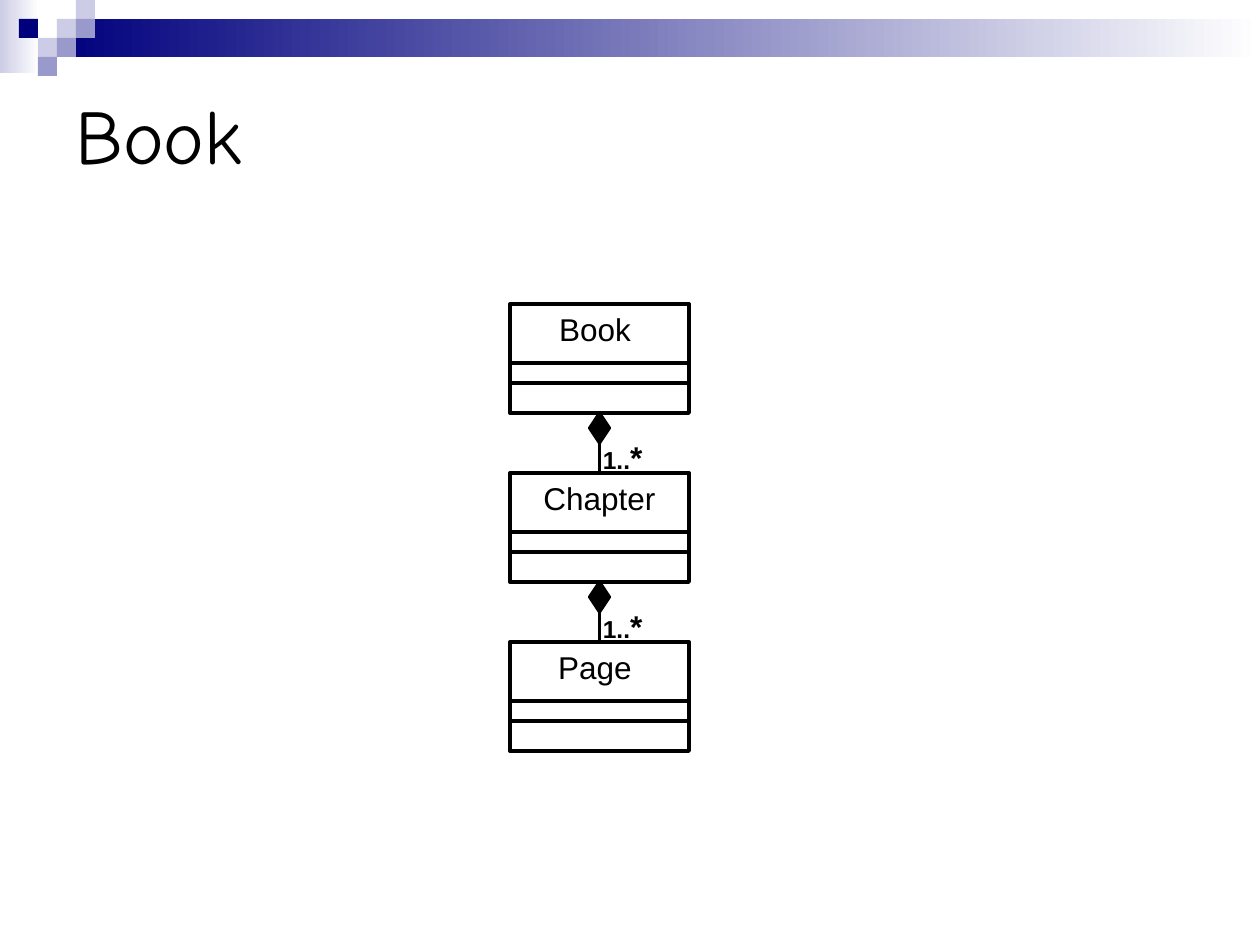
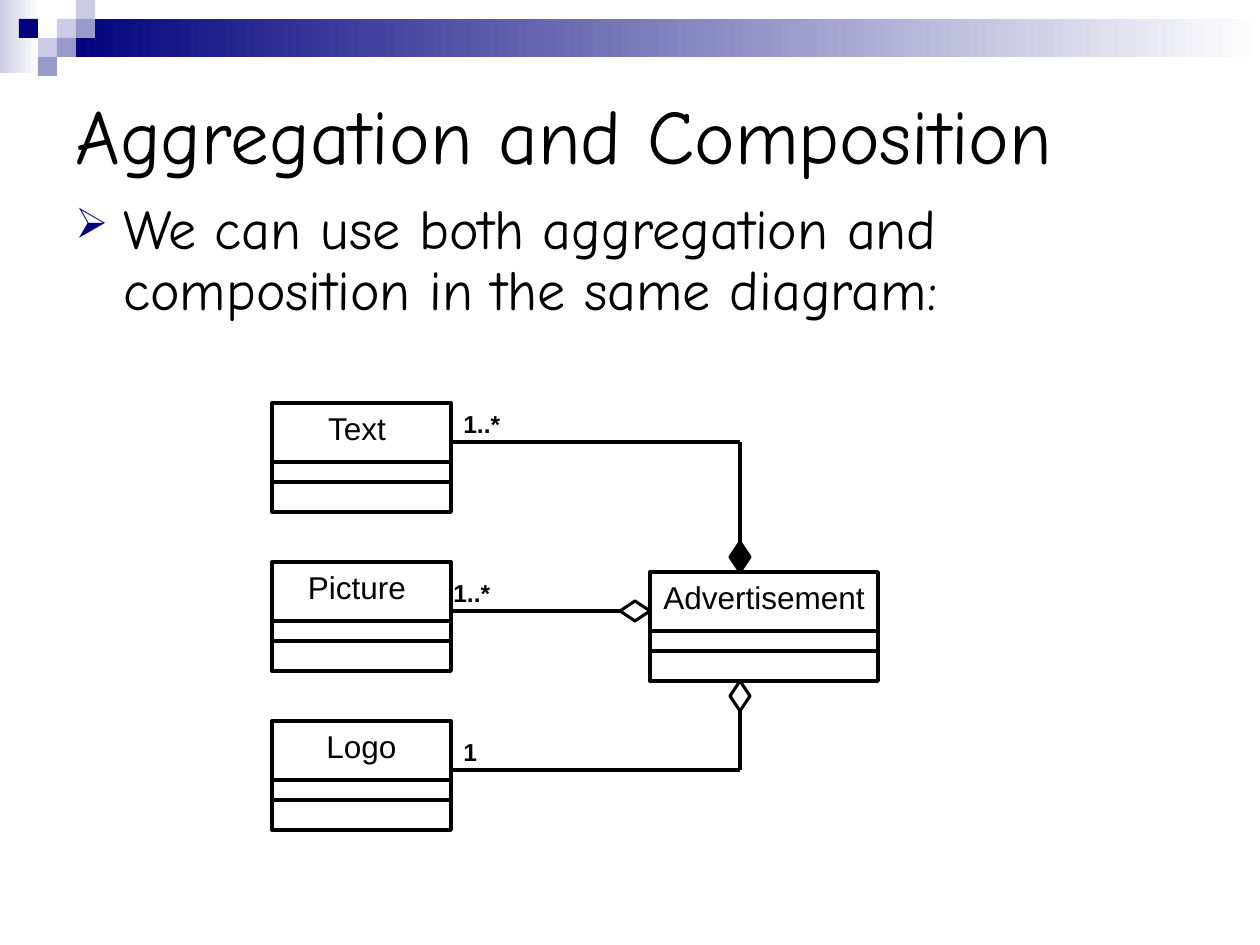
from pptx import Presentation
from pptx.dml.color import RGBColor
from pptx.enum.shapes import MSO_CONNECTOR, MSO_SHAPE
from pptx.enum.text import MSO_ANCHOR, PP_ALIGN
from pptx.oxml.ns import qn
from pptx.util import Emu, Pt
from lxml import etree

PX = 914400 / 126
RECT, DIAMOND = MSO_SHAPE.RECTANGLE, MSO_SHAPE.DIAMOND
STRAIGHT = MSO_CONNECTOR.STRAIGHT
MIDDLE, TOP = MSO_ANCHOR.MIDDLE, MSO_ANCHOR.TOP
LEFT, CENTER = PP_ALIGN.LEFT, PP_ALIGN.CENTER
SIDE_TOP, SIDE_BOTTOM = 0, 2

BLACK = RGBColor(0x00, 0x00, 0x00)
WHITE = RGBColor(0xFF, 0xFF, 0xFF)
NAVY = RGBColor(0x00, 0x00, 0x7D)
LILAC = RGBColor(0x99, 0x99, 0xCC)
PALE = RGBColor(0xCC, 0xCC, 0xE6)

HEAD_FONT, LABEL_FONT = "Comic Neue", "Arial"
TITLE = {"name": HEAD_FONT, "size": Pt(44)}
BODY = {"name": HEAD_FONT, "size": Pt(32)}
CLASS_NAME = {"name": LABEL_FONT, "size": Pt(18)}
COUNT = {"name": LABEL_FONT, "size": Pt(14), "bold": True}
COUNT_STAR = {"name": LABEL_FONT, "size": Pt(18), "bold": True}

CELL = 19
CHECKERS = [(3, 1, PALE), (4, 0, PALE), (4, 1, LILAC), (2, 2, PALE),
            (1, 1, NAVY), (3, 2, LILAC), (2, 3, LILAC)]
CLASS_W, CLASS_H = 179, 109
DIVIDERS = (59, 79)
DIAMOND_W, DIAMOND_H = 20, 30


def emu(*lengths):
    return [Emu(round(n * PX)) for n in lengths]


def add_shape(s, kind, box, fill=None, line_width=None):
    sp = s.shapes.add_shape(kind, *emu(*box))
    sp.shadow.inherit = False
    if fill is None:
        sp.fill.background()
    else:
        sp.fill.solid()
        sp.fill.fore_color.rgb = fill
    if line_width is None:
        sp.line.fill.background()
    else:
        sp.line.color.rgb = BLACK
        sp.line.width = Pt(line_width)
    return sp


def add_gradient(s, box, color):
    """Rectangle fading from color to white, left to right."""
    sp = add_shape(s, RECT, box, color)
    sp.fill.gradient()
    sp.fill.gradient_angle = 0
    for stop, rgb in zip(sp.fill.gradient_stops, (color, WHITE)):
        stop.color.rgb = rgb


def add_line(s, x1, y1, x2, y2):
    line = s.shapes.add_connector(STRAIGHT, *emu(x1, y1, x2, y2))
    line.line.color.rgb = BLACK
    line.line.width = Pt(2.25)
    etree.SubElement(line._element.spPr, qn("a:effectLst"))
    return line


def add_text(s, box, runs, align=LEFT, anchor=TOP, space_before=0):
    """Text box with one paragraph of (text, font format) runs."""
    tf = s.shapes.add_textbox(*emu(*box)).text_frame
    tf.word_wrap = True
    tf.vertical_anchor = anchor
    p = tf.paragraphs[0]
    p.alignment = align
    p.space_before = Pt(space_before)
    for text, font in runs:
        r = p.add_run()
        r.text = text
        r.font.color.rgb = BLACK
        for name, value in font.items():
            setattr(r.font, name, value)
    return p


def add_banner(s):
    add_gradient(s, (0, 0, 39, 73), PALE)
    add_gradient(s, (57, CELL, 1203, 2 * CELL), NAVY)
    for col, row, color in CHECKERS:
        add_shape(s, RECT, (col * CELL, row * CELL, CELL, CELL), color)


def add_slide(prs, title):
    s = prs.slides.add_slide(prs.slide_layouts[6])
    add_banner(s)
    add_text(s, (63, 63, 1134, 141), [(title, TITLE)], anchor=MIDDLE)
    return s


def add_bullet(s, box, text):
    p = add_text(s, box, [(text, BODY)], space_before=8)
    p.line_spacing = 0.9
    pPr = p._p.get_or_add_pPr()
    indent = emu(48)[0]
    pPr.set("marL", str(indent))
    pPr.set("indent", str(-indent))
    color = etree.SubElement(pPr, qn("a:buClr"))
    etree.SubElement(color, qn("a:srgbClr"), val=str(NAVY))
    etree.SubElement(pPr, qn("a:buSzPct"), val="75000")
    etree.SubElement(pPr, qn("a:buChar"), char="➢")


def add_class(s, x, y, name, width=CLASS_W, overhang=(9, 0)):
    """UML class; overhang widens the name's box at left and right."""
    frame = add_shape(s, RECT, (x, y, width, CLASS_H), line_width=2.25)
    for dy in DIVIDERS:
        add_line(s, x, y + dy, x + width, y + dy)
    left, right = overhang
    add_text(s, (x - left, y, width + left + right, 50), [(name, CLASS_NAME)],
             CENTER, space_before=11.2)
    return frame


def add_diamond(s, cx, cy, fill=None, rotation=0):
    box = (cx - DIAMOND_W / 2, cy - DIAMOND_H / 2, DIAMOND_W, DIAMOND_H)
    add_shape(s, DIAMOND, box, fill, 1.75).rotation = rotation


def add_count(s, x, y, *runs):
    add_text(s, (x, y, 89, 43), runs, space_before=8.8)


def add_class_chain(s, x, y, classes, pitch=169):
    """Classes stacked downwards, each composed of the next."""
    frames = [add_class(s, x, y + i * pitch, name, overhang=overhang)
              for i, (name, overhang) in enumerate(classes)]
    mid = x + CLASS_W / 2
    for i, (whole, part) in enumerate(zip(frames, frames[1:])):
        bottom = y + i * pitch + CLASS_H
        line = add_line(s, mid, bottom, mid, y + (i + 1) * pitch)
        line.begin_connect(whole, SIDE_BOTTOM)
        line.end_connect(part, SIDE_TOP)
        add_diamond(s, mid, bottom + DIAMOND_H / 2, BLACK)
        add_count(s, mid - 9, bottom + 19, ("1..", COUNT), ("*", COUNT_STAR))


def add_advertisement_diagram(s, x, y, pitch=159):
    """Three parts at the left, joined to the Advertisement at the right."""
    parts = [("Text", (9, 0)), ("Picture", (9, 0)), ("Logo", (0, 0))]
    for i, (name, overhang) in enumerate(parts):
        add_class(s, x, y + i * pitch, name, overhang=overhang)
    edge = x + CLASS_W
    whole_x, whole_y = x + 378, y + 169
    whole_bottom = whole_y + CLASS_H
    add_class(s, whole_x, whole_y, "Advertisement", 228, (20, 20))

    trunk = whole_x + 90
    text_y, picture_y, logo_y = y + 39, y + 208, y + 367
    half = DIAMOND_H / 2

    add_line(s, edge, text_y, trunk, text_y)
    add_line(s, trunk, text_y, trunk, whole_y)
    add_diamond(s, trunk, whole_y - half, BLACK)
    add_count(s, edge, y, ("1..*", COUNT))

    add_line(s, edge, picture_y, whole_x - DIAMOND_H, picture_y)
    add_diamond(s, whole_x - half, picture_y, rotation=90)
    add_count(s, edge - 10, whole_y, ("1..*", COUNT))

    add_line(s, edge, logo_y, trunk, logo_y)
    add_line(s, trunk, whole_bottom + DIAMOND_H, trunk, logo_y)
    add_diamond(s, trunk, whole_bottom + half)
    add_count(s, edge, y + 328, ("1", COUNT))


def main():
    prs = Presentation()
    prs.slide_width, prs.slide_height = emu(1260, 945)

    s = add_slide(prs, "Book")
    add_class_chain(s, 510, 304, [("Book", (9, 0)), ("Chapter", (0, 0)),
                                  ("Page", (9, 0))])

    s = add_slide(prs, "Aggregation and Composition")
    add_bullet(s, (63, 195, 1134, 139),
               "We can use both aggregation and composition in the same diagram:")
    add_advertisement_diagram(s, 272, 403)

    prs.save("out.pptx")


if __name__ == "__main__":
    main()
